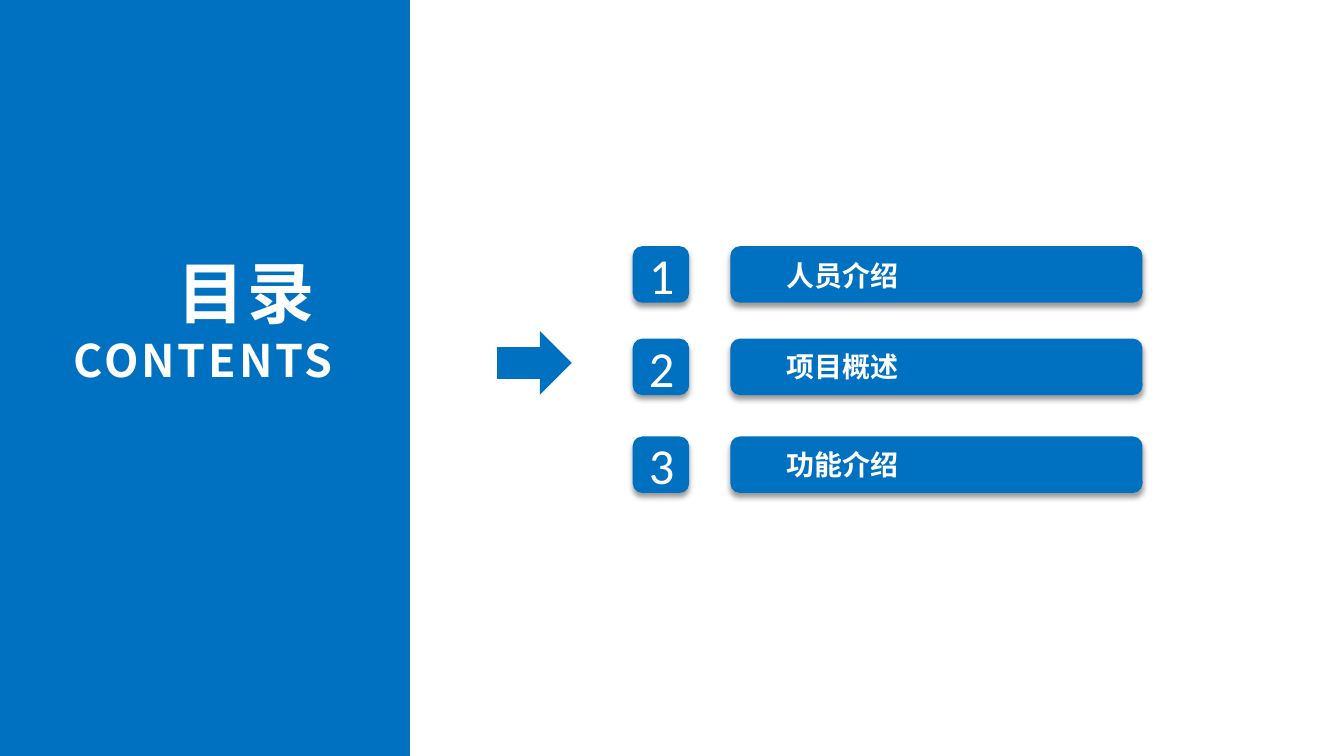
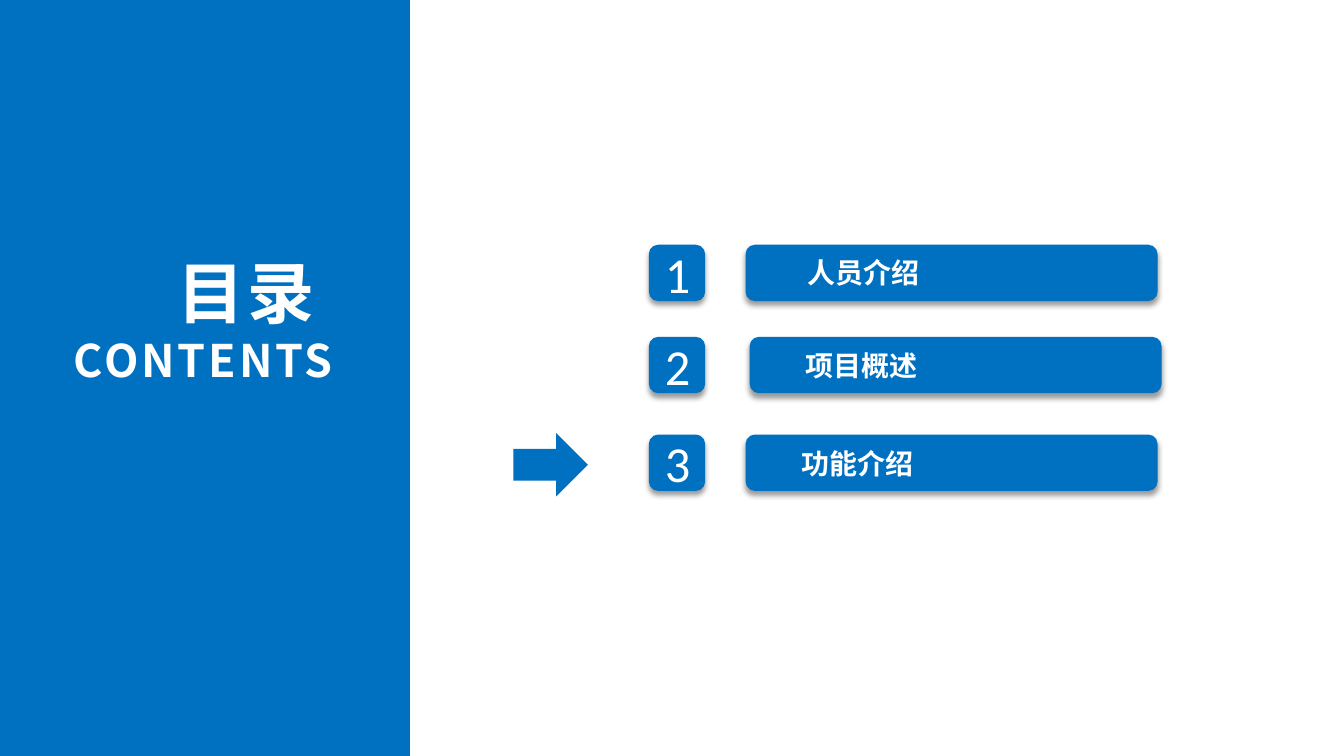
from dataclasses import dataclass

from lxml.etree import SubElement
from pptx import Presentation
from pptx.dml.color import RGBColor
from pptx.enum.shapes import MSO_SHAPE
from pptx.enum.text import MSO_ANCHOR, MSO_AUTO_SIZE, PP_ALIGN
from pptx.oxml.ns import qn
from pptx.shapes.autoshape import Shape
from pptx.slide import Slide
from pptx.text.text import TextFrame
from pptx.util import Pt

BLUE = "0070C0"
WHITE = "FFFFFF"
BLACK = "000000"
CJK_FONT = "Noto Sans CJK SC"
NUMBER_FONT = "Calibri"

SLIDE_W, SLIDE_H = 960.48, 540
PANEL_W = 293
ROW_H = 40.3
BAR_W = 294.5
LABEL_W, LABEL_H = 209, 34
ARROW_W, ARROW_H = 45.4, 53.3
ARROW_GAP = 70.2  # from the arrow's centre to the badge's left edge


@dataclass(frozen=True)
class Entry:
    text: str
    top: float
    bar_x: float
    label_x: float
    label_top: float


@dataclass(frozen=True)
class Agenda:
    badge_x: float
    arrow_y: float
    entries: tuple[Entry, ...]


AGENDAS = (
    Agenda(452.2, 259.2, (
        Entry("人员介绍", 175.9, 522, 552.2, 180),
        Entry("项目概述", 241.9, 522, 552.2, 244.8),
        Entry("功能介绍", 311.8, 522, 552.2, 314.6),
    )),
    Agenda(463.7, 331.9, (
        Entry("人员介绍", 174.8, 532.8, 567.4, 177.8),
        Entry("项目概述", 240.6, 535.7, 565.9, 244.1),
        Entry("功能介绍", 310.4, 532.8, 563, 313.9),
    )),
)


def rgb(value: str) -> RGBColor:
    return RGBColor.from_string(value)


def set_text(tf: TextFrame, lines: list[tuple[str, float]], font: str,
             align: PP_ALIGN, anchor: MSO_ANCHOR, bold: bool = False,
             spacing: float = 0) -> None:
    """Fill the frame with one paragraph for each (text, size) pair."""
    tf.word_wrap = True
    tf.auto_size = MSO_AUTO_SIZE.NONE
    tf.vertical_anchor = anchor
    tf.margin_left = tf.margin_right = Pt(9.6)
    tf.margin_top = tf.margin_bottom = Pt(4.8)
    tf.text = "\n".join(text for text, _ in lines)
    for p, (_, size) in zip(tf.paragraphs, lines):
        p.alignment = align
        p.font.size = Pt(size)
        p.font.bold = bold
        p.font.color.rgb = rgb(WHITE)
        p.font.name = font
        props = p._p.pPr.find(qn("a:defRPr"))
        SubElement(props, qn("a:ea"), typeface=font)
        if spacing:
            props.set("spc", str(round(spacing * 100)))


def add_block(slide: Slide, kind: MSO_SHAPE, x: float, y: float,
              w: float, h: float) -> Shape:
    sp = slide.shapes.add_shape(kind, Pt(x), Pt(y), Pt(w), Pt(h))
    sp.fill.solid()
    sp.fill.fore_color.rgb = rgb(BLUE)
    sp.line.fill.background()
    sp.shadow.inherit = False
    return sp


def add_raised_block(slide: Slide, x: float, y: float, w: float) -> Shape:
    """Add a rounded block with a soft shadow below it."""
    sp = add_block(slide, MSO_SHAPE.ROUNDED_RECTANGLE, x, y, w, ROW_H)
    effects = sp._element.spPr.find(qn("a:effectLst"))
    shadow = SubElement(effects, qn("a:outerShdw"), blurRad=str(Pt(4)),
                        dist=str(Pt(3)), dir="5400000", rotWithShape="0")
    color = SubElement(shadow, qn("a:srgbClr"), val=BLACK)
    SubElement(color, qn("a:alpha"), val="40000")
    return sp


def add_title_panel(slide: Slide) -> None:
    add_block(slide, MSO_SHAPE.RECTANGLE, 0, 0, PANEL_W, SLIDE_H)
    title = slide.shapes.title
    slide.shapes._spTree.append(title._element)  # bring in front of the panel
    title.left, title.top = Pt(26.6), Pt(175)
    title.width, title.height = Pt(221), Pt(106.6)
    set_text(title.text_frame, [("目录 ", 48), ("CONTENTS", 32)], CJK_FONT,
             PP_ALIGN.RIGHT, MSO_ANCHOR.TOP, bold=True, spacing=2)


def add_entry(slide: Slide, number: int, badge_x: float, entry: Entry) -> None:
    add_raised_block(slide, entry.bar_x, entry.top, BAR_W)
    label = slide.shapes.add_textbox(Pt(entry.label_x), Pt(entry.label_top),
                                     Pt(LABEL_W), Pt(LABEL_H))
    set_text(label.text_frame, [(entry.text, 20)], CJK_FONT,
             PP_ALIGN.LEFT, MSO_ANCHOR.TOP, bold=True)
    badge = add_raised_block(slide, badge_x, entry.top, ROW_H)
    set_text(badge.text_frame, [(str(number), 36)], NUMBER_FONT,
             PP_ALIGN.CENTER, MSO_ANCHOR.MIDDLE)


def add_agenda_slide(prs: Presentation, agenda: Agenda) -> None:
    slide = prs.slides.add_slide(prs.slide_layouts.get_by_name("Title Only"))
    add_title_panel(slide)
    for number, entry in enumerate(agenda.entries, start=1):
        add_entry(slide, number, agenda.badge_x, entry)
    arrow = add_block(slide, MSO_SHAPE.DOWN_ARROW,
                      agenda.badge_x - ARROW_GAP - ARROW_W / 2,
                      agenda.arrow_y - ARROW_H / 2, ARROW_W, ARROW_H)
    arrow.rotation = 270


def main() -> None:
    prs = Presentation()
    prs.slide_width, prs.slide_height = Pt(SLIDE_W), Pt(SLIDE_H)
    for agenda in AGENDAS:
        add_agenda_slide(prs, agenda)
    prs.save("out.pptx")


if __name__ == "__main__":
    main()
